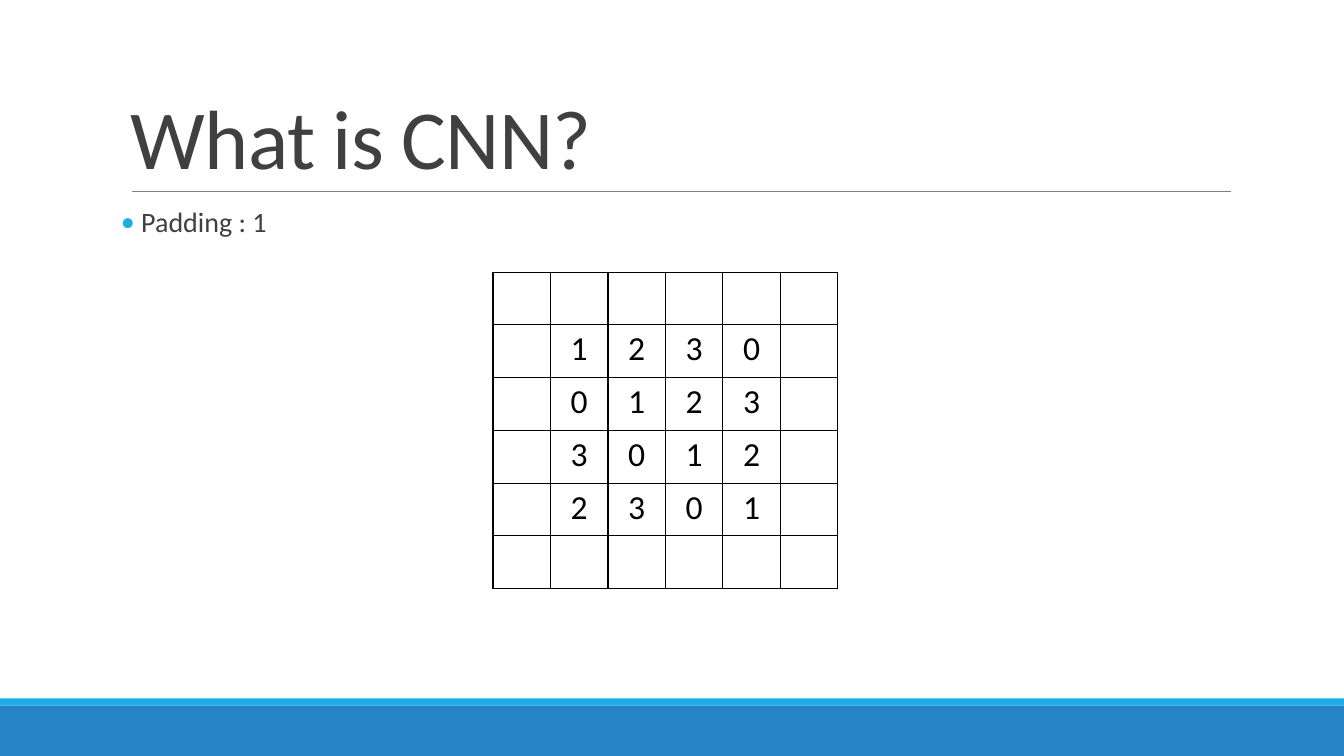
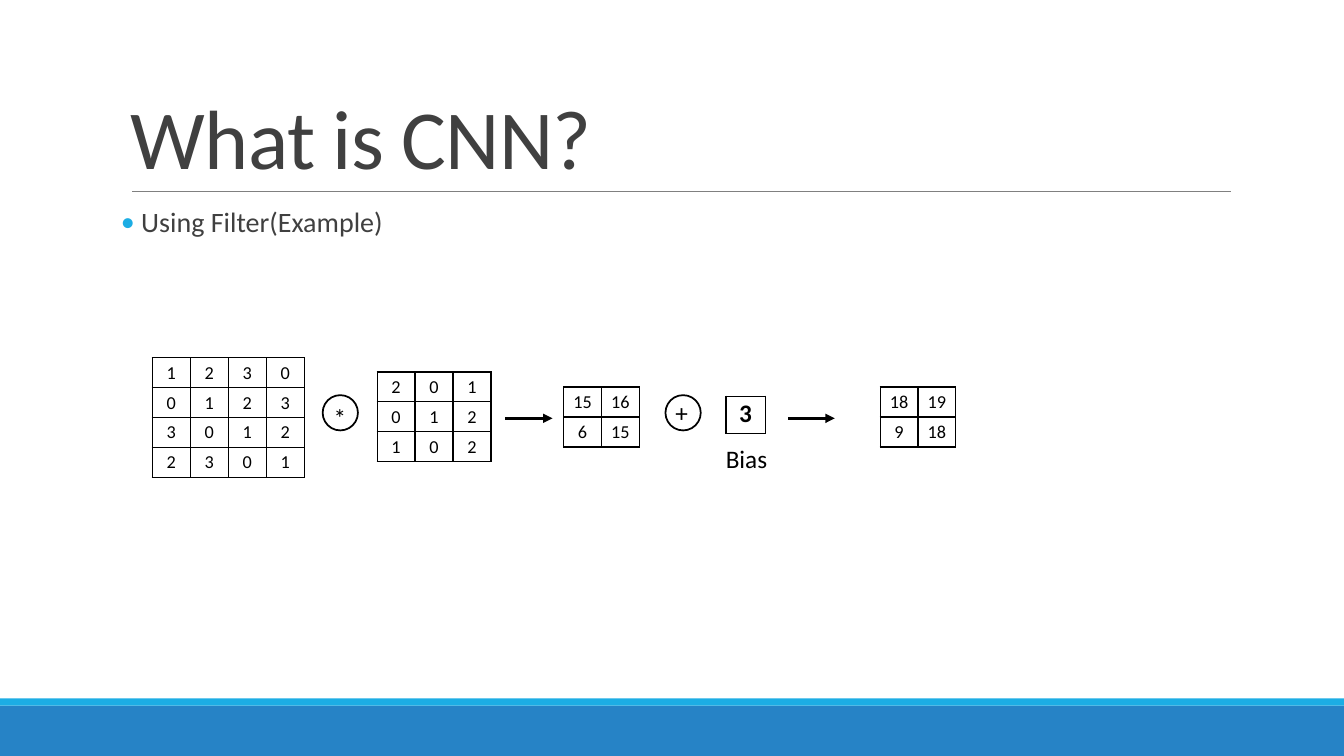
from dataclasses import dataclass

from lxml.etree import SubElement
from pptx import Presentation
from pptx.dml.color import RGBColor
from pptx.enum.shapes import MSO_CONNECTOR as Connector, MSO_SHAPE as Shape
from pptx.enum.text import MSO_ANCHOR as Anchor, MSO_AUTO_SIZE as AutoSize, PP_ALIGN as Align
from pptx.oxml.ns import qn
from pptx.util import Inches, Pt

FONT = "Calibri"
BLACK, INK, RULE = "000000", "404040", "808080"
BLUE, CYAN = "2683C6", "1CADE4"
SLIDE_W, SLIDE_H = 13.33, 7.5


@dataclass(frozen=True)
class Matrix:
    """A bordered number grid; cells share its width and height evenly."""
    left: float
    top: float
    width: float
    height: float
    rows: tuple[str, ...]
    size: float = 13
    bold: bool = False
    margins: tuple[float, float] = (0.07, 0.04)
    padding: int = 0


@dataclass(frozen=True)
class Operator:
    """A circled sign."""
    sign: str
    left: float
    sign_left: float
    sign_top: float


@dataclass(frozen=True)
class Arrow:
    start: float
    end: float


INPUT_ROWS = ("1 2 3 0", "0 1 2 3", "3 0 1 2", "2 3 0 1")

PADDED_INPUT = Matrix(4.89, 2.7, 3.42, 3.14, INPUT_ROWS, size=24, padding=1)

FILTER_STEPS = (
    Matrix(1.51, 3.55, 1.51, 1.17, INPUT_ROWS),
    Matrix(5.59, 3.84, 0.75, 0.59, ("15 16", "6 15")),
    Matrix(3.74, 3.69, 1.13, 0.88, ("2 0 1", "0 1 2", "1 0 2")),
    Matrix(7.2, 3.93, 0.39, 0.37, ("3",), size=18, bold=True, margins=(0.04, 0.02)),
    Matrix(8.73, 3.84, 0.75, 0.59, ("18 19", "9 18")),
)
OPERATORS = (Operator("*", 3.2, 3.21, 3.94), Operator("+", 6.6, 6.6, 3.89))
ARROWS = (Arrow(5.01, 5.48), Arrow(7.82, 8.28))
OPERATOR_TOP, OPERATOR_SIZE = 3.92, 0.35
ARROW_Y = 4.15


def color(value: str) -> RGBColor:
    return RGBColor.from_string(value)


def add_run(paragraph, text: str, size: float, ink: str = BLACK, bold: bool = False):
    run = paragraph.add_run()
    run.text = text
    run.font.name, run.font.size, run.font.bold = FONT, Pt(size), bold
    run.font.color.rgb = color(ink)
    return run


def add_text_frame(shapes, left: float, top: float, width: float, height: float):
    box = shapes.add_textbox(Inches(left), Inches(top), Inches(width), Inches(height))
    box.text_frame.word_wrap = True
    return box.text_frame


def add_label(shapes, text: str, left: float, top: float, width: float) -> None:
    frame = add_text_frame(shapes, left, top, width, 0.4)
    frame.word_wrap = False
    frame.auto_size = AutoSize.SHAPE_TO_FIT_TEXT
    add_run(frame.paragraphs[0], text, 18)


def add_line(shapes, start: float, end: float, y: float, ink: str, weight: float):
    line = shapes.add_connector(
        Connector.STRAIGHT, Inches(start), Inches(y), Inches(end), Inches(y))
    line.line.color.rgb = color(ink)
    line.line.width = Pt(weight)
    SubElement(line.element.spPr, qn("a:effectLst"))
    return line


def add_arrow(shapes, arrow: Arrow) -> None:
    line = add_line(shapes, arrow.start, arrow.end, ARROW_Y, BLACK, 2.25)
    SubElement(line.element.spPr.find(qn("a:ln")), qn("a:tailEnd"), type="triangle")


def add_band(shapes, top: float, height: float, fill: str) -> None:
    band = shapes.add_shape(
        Shape.RECTANGLE, 0, Inches(top), Inches(SLIDE_W), Inches(height))
    band.shadow.inherit = False
    band.fill.solid()
    band.fill.fore_color.rgb = color(fill)
    band.line.fill.background()


def set_bullet(paragraph, mark: str, ink: str, indent: float) -> None:
    properties = paragraph._p.get_or_add_pPr()
    properties.set("marL", str(Inches(indent)))
    properties.set("indent", str(-Inches(indent)))
    bullet_color = SubElement(properties, qn("a:buClr"))
    SubElement(bullet_color, qn("a:srgbClr"), val=ink)
    SubElement(properties, qn("a:buFont"), typeface=FONT)
    SubElement(properties, qn("a:buChar"), char=mark)


def set_borders(cell, ink: str, weight: float) -> None:
    properties = cell._tc.get_or_add_tcPr()
    for position, side in enumerate(("lnL", "lnR", "lnT", "lnB")):
        border = SubElement(properties, qn(f"a:{side}"), w=str(Pt(weight)))
        fill = SubElement(border, qn("a:solidFill"))
        SubElement(fill, qn("a:srgbClr"), val=ink)
        properties.insert(position, border)  # borders come before the cell fill


def add_matrix(shapes, matrix: Matrix) -> None:
    values = [row.split() for row in matrix.rows]
    pad = matrix.padding
    row_count = len(values) + 2 * pad
    column_count = len(values[0]) + 2 * pad
    table = shapes.add_table(
        row_count, column_count, Inches(matrix.left), Inches(matrix.top),
        Inches(matrix.width), Inches(matrix.height)).table
    table.first_row = table.horz_banding = False
    for column in table.columns:
        column.width = Inches(matrix.width / column_count)
    for row in table.rows:
        row.height = Inches(matrix.height / row_count)
    for cell in table.iter_cells():
        cell.fill.background()
        set_borders(cell, BLACK, 1)
        side, end = matrix.margins
        cell.margin_left = cell.margin_right = Inches(side)
        cell.margin_top = cell.margin_bottom = Inches(end)
    for r, row_values in enumerate(values, pad):
        for c, value in enumerate(row_values, pad):
            paragraph = table.cell(r, c).text_frame.paragraphs[0]
            paragraph.alignment = Align.CENTER
            add_run(paragraph, value, matrix.size, bold=matrix.bold)


def add_operator(shapes, operator: Operator) -> None:
    group = shapes.add_group_shape().shapes
    add_label(group, operator.sign, operator.sign_left, operator.sign_top, OPERATOR_SIZE)
    circle = group.add_shape(
        Shape.OVAL, Inches(operator.left), Inches(OPERATOR_TOP),
        Inches(OPERATOR_SIZE), Inches(OPERATOR_SIZE))
    circle.shadow.inherit = False
    circle.fill.background()
    circle.line.color.rgb = color(BLACK)
    circle.line.width = Pt(1.25)


def add_topic_slide(deck, topic: str):
    """Add a slide with the shared bands, title and rule, and its own topic."""
    shapes = deck.slides.add_slide(deck.slide_layouts[6]).shapes
    # Bottom bands and title rule
    add_band(shapes, 7, 0.5, BLUE)
    add_band(shapes, 6.93, 0.07, CYAN)
    add_line(shapes, 1.31, 12.21, 1.9, RULE, 0.5)
    # Title
    title = add_text_frame(shapes, 1.2, 0.31, 11, 1.59)
    title.vertical_anchor = Anchor.BOTTOM
    heading = title.paragraphs[0]
    heading.line_spacing = 0.85
    run = add_run(heading, "What is CNN?", 60, INK)
    run.font._element.set("spc", "-50")
    # Topic bullet
    body = add_text_frame(shapes, 1.2, 2.02, 11, 4.4)
    body.margin_left = body.margin_right = 0
    bullet = body.paragraphs[0]
    bullet.line_spacing = 0.9
    bullet.space_before, bullet.space_after = Pt(12), Pt(2)
    set_bullet(bullet, "•", CYAN, 0.1)
    add_run(bullet, topic, 20, INK)
    return shapes


def main() -> None:
    deck = Presentation()
    deck.slide_width, deck.slide_height = Inches(SLIDE_W), Inches(SLIDE_H)

    # Padding
    add_matrix(add_topic_slide(deck, " Padding : 1"), PADDED_INPUT)

    # Filter, then bias
    shapes = add_topic_slide(deck, " Using Filter(Example)")
    for matrix in FILTER_STEPS:
        add_matrix(shapes, matrix)
    for operator in OPERATORS:
        add_operator(shapes, operator)
    for arrow in ARROWS:
        add_arrow(shapes, arrow)
    add_label(shapes, "Bias", 7.1, 4.35, 0.61)

    deck.save("out.pptx")


if __name__ == "__main__":
    main()
